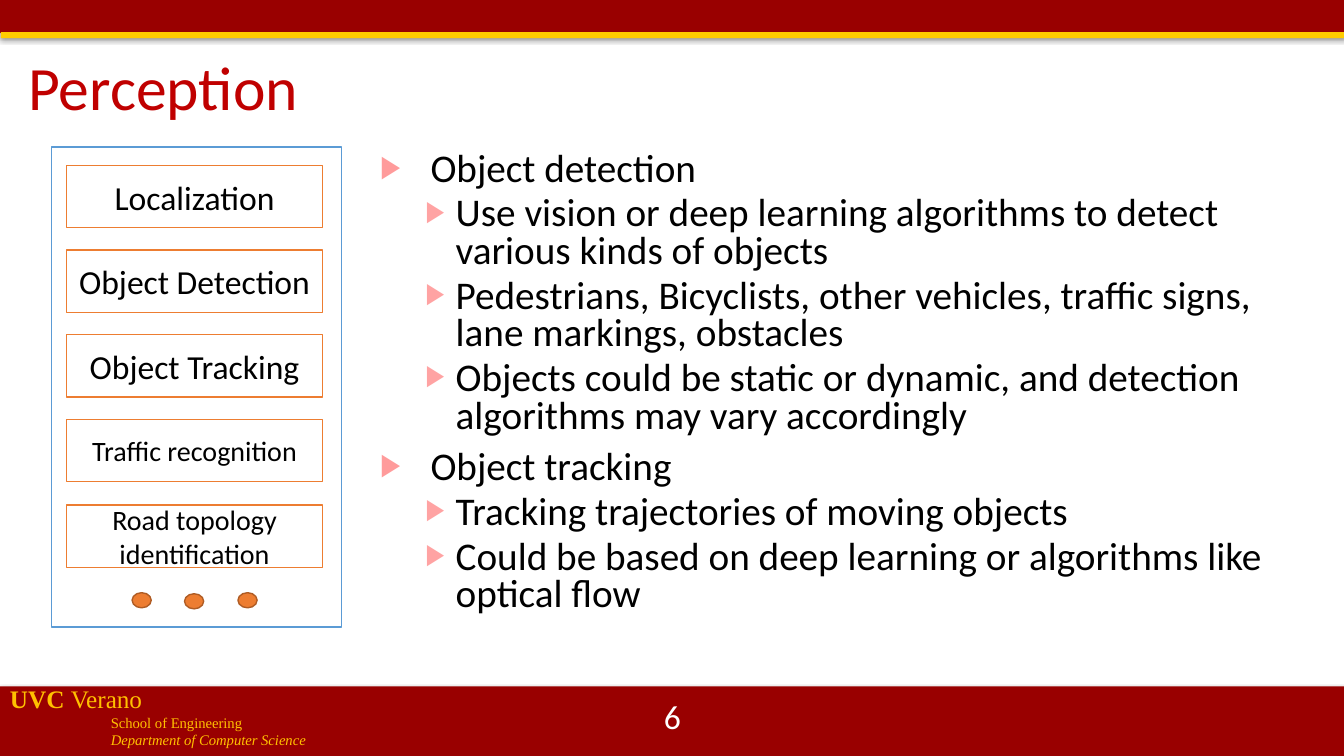
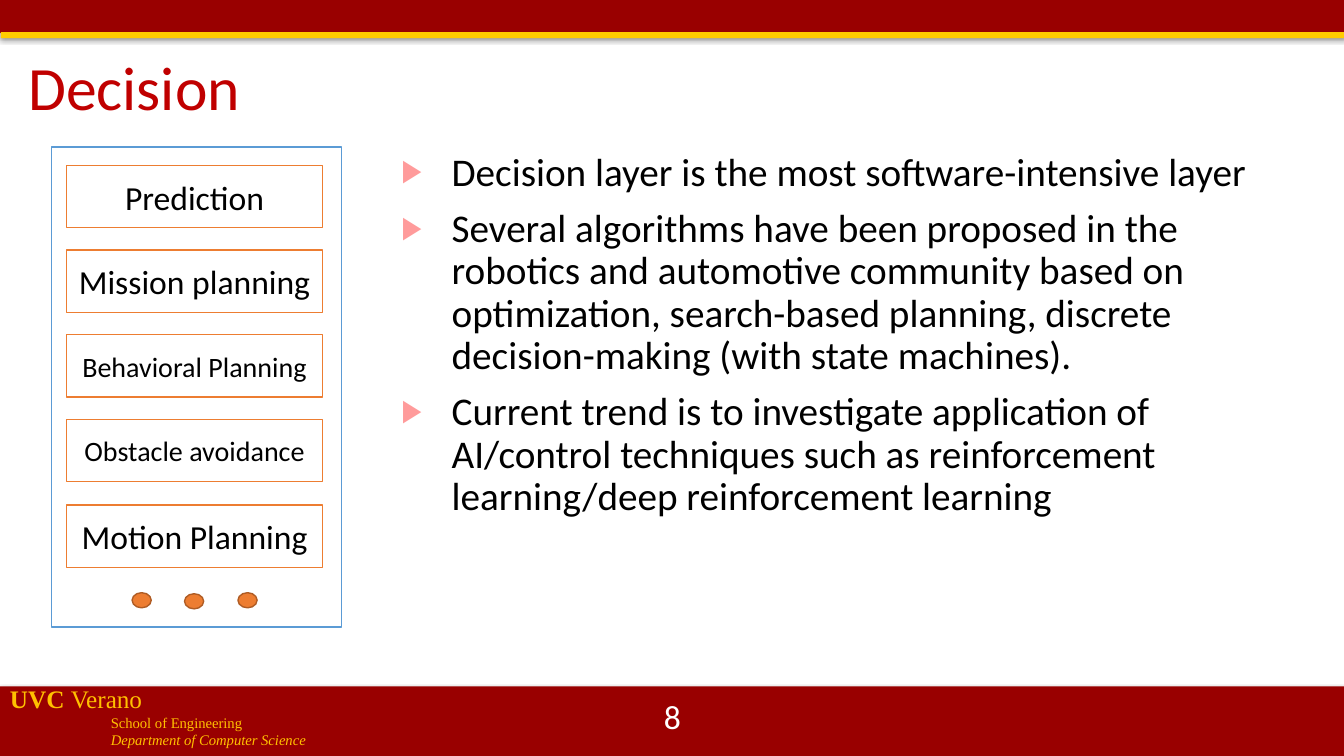
from dataclasses import dataclass

from lxml.etree import SubElement
from pptx import Presentation
from pptx.dml.color import RGBColor
from pptx.enum.shapes import MSO_SHAPE
from pptx.enum.text import MSO_ANCHOR, MSO_AUTO_SIZE, PP_ALIGN
from pptx.oxml.ns import qn
from pptx.util import Emu, Pt

SCALE = 9144  # EMU in one px, 100 px to the inch
WIDE, HIGH = 1333, 750
FONT, SERIF = "Calibri", "Times New Roman"
HUES = {
    "band": "990000", "gold": "FFCC00", "brand": "FFC000", "title": "C00000",
    "ink": "000000", "paper": "FFFFFF", "frame": "5B9BD5",
    "box": "ED7D31", "rim": "AF5C24", "mark": "FF9B9B", "sub": "FFA3A3",
}


@dataclass(frozen=True)
class Area:
    left: int
    top: int
    wide: int
    high: int


@dataclass(frozen=True)
class Look:
    size: float
    hue: str = "ink"
    font: str = FONT
    bold: bool = False
    slant: bool = False


@dataclass(frozen=True)
class Band:
    area: Area
    hue: str
    dist: float
    alpha: int


@dataclass(frozen=True)
class Level:
    left: int
    hang: int
    gap: int
    hue: str
    size: int


@dataclass(frozen=True)
class Box:
    text: str
    size: int = 24


@dataclass(frozen=True)
class Item:
    text: str
    level: int = 0


@dataclass(frozen=True)
class Page:
    title: str
    number: str
    body: Area
    pitch: float
    boxes: tuple[Box, ...]
    items: tuple[Item, ...]


BANDS = (
    Band(Area(0, 0, WIDE, 33), "band", 1.8, 35),
    Band(Area(1, 32, WIDE, 6), "gold", 1.6, 38),
    Band(Area(0, 681, WIDE, 69), "band", 1.8, 35),
)
LEVELS = (Level(50, 50, 10, "mark", 80), Level(75, 30, 5, "sub", 75))

PAGES = (
    Page(
        "Perception", "6", Area(367, 146, 930, 476), 0.8,
        (
            Box("Localization"), Box("Object Detection"), Box("Object Tracking"),
            Box("Traffic recognition", 20), Box("Road topology identification", 20),
        ),
        (
            Item("Object detection"),
            Item("Use vision or deep learning algorithms to detect various kinds of objects", 1),
            Item("Pedestrians, Bicyclists, other vehicles, traffic signs, lane markings, obstacles", 1),
            Item("Objects could be static or dynamic, and detection algorithms may vary accordingly", 1),
            Item("Object tracking"),
            Item("Tracking trajectories of moving objects", 1),
            Item("Could be based on deep learning or algorithms like optical flow", 1),
        ),
    ),
    Page(
        "Decision", "8", Area(388, 146, 910, 442), 0.9,
        (
            Box("Prediction"), Box("Mission planning"), Box("Behavioral Planning", 20),
            Box("Obstacle avoidance", 20), Box("Motion Planning"),
        ),
        (
            Item("Decision layer is the most software-intensive layer"),
            Item("Several algorithms have been proposed in the robotics and automotive community "
                 "based on optimization, search-based planning, discrete decision-making "
                 "(with state machines)."),
            Item("Current trend is to investigate application of AI/control techniques such as "
                 "reinforcement learning/deep reinforcement learning"),
        ),
    ),
)


def px(num: float) -> Emu:
    return Emu(round(num * SCALE))


def spot(area: Area) -> tuple[Emu, Emu, Emu, Emu]:
    return px(area.left), px(area.top), px(area.wide), px(area.high)


def tint(hue: str) -> RGBColor:
    return RGBColor.from_string(HUES[hue])


def write(para, text: str, look: Look) -> None:
    run = para.add_run()
    run.text = text
    font = run.font
    font.name, font.size = look.font, Pt(look.size)
    font.bold, font.italic = look.bold, look.slant
    font.color.rgb = tint(look.hue)


def draw(shapes, kind, area: Area, fill: str | None, line: str | None):
    shape = shapes.add_shape(kind, *spot(area))
    shape.shadow.inherit = False
    if fill:
        shape.fill.solid()
        shape.fill.fore_color.rgb = tint(fill)
    else:
        shape.fill.background()
    if line:
        shape.line.color.rgb = tint(line)
        shape.line.width = Pt(1)
    else:
        shape.line.fill.background()
    return shape


def shade(shape, dist: float, alpha: int) -> None:
    """Cast a soft shadow straight down."""
    effect = shape.element.spPr.find(qn("a:effectLst"))
    outer = SubElement(effect, qn("a:outerShdw"), blurRad=str(Pt(3.1)),
                       dist=str(Pt(dist)), dir="5400000", rotWithShape="0")
    color = SubElement(outer, qn("a:srgbClr"), val=HUES["ink"])
    SubElement(color, qn("a:alpha"), val=str(alpha * 1000))


def label(shapes, area: Area):
    shape = shapes.add_textbox(*spot(area))
    shape.text_frame.word_wrap = True
    return shape


def brand(shapes):
    shape = label(shapes, Area(0, 673, 625, 77))
    frame = shape.text_frame
    head = frame.paragraphs[0]
    write(head, "UVC ", Look(18, "brand", SERIF, bold=True))
    write(head, "Verano", Look(18, "brand", SERIF))
    for text, slant in (("School of Engineering", False),
                        ("Department of Computer Science", True)):
        para = frame.add_paragraph()
        para._p.get_or_add_pPr().set("marL", str(px(100)))
        write(para, text, Look(10.5, "brand", SERIF, slant=slant))
    return shape


def dress(layout, slide) -> None:
    """Put the shared bands and school name on the layout."""
    for hold in list(layout.placeholders):
        if hold.placeholder_format.idx >= 10:
            hold.element.getparent().remove(hold.element)
    parts = []
    for band in BANDS:
        shape = draw(slide.shapes, MSO_SHAPE.RECTANGLE, band.area, band.hue, None)
        shade(shape, band.dist, band.alpha)
        parts.append(shape)
    parts.append(brand(slide.shapes))
    for part in parts:
        layout.shapes.element.append(part.element)


def place(hold, area: Area):
    hold.left, hold.top, hold.width, hold.height = spot(area)
    frame = hold.text_frame
    frame.auto_size = MSO_AUTO_SIZE.NONE
    return frame


def head(slide, text: str) -> None:
    frame = place(slide.shapes.title, Area(18, 47, 1194, 85))
    frame.vertical_anchor = MSO_ANCHOR.MIDDLE
    para = frame.paragraphs[0]
    para.alignment = PP_ALIGN.LEFT
    para.line_spacing = 0.9
    write(para, text, Look(44, "title"))


def mark(para, level: Level) -> None:
    props = para._p.get_or_add_pPr()
    props.set("marL", str(px(level.left)))
    props.set("indent", str(px(-level.hang)))
    color = SubElement(props, qn("a:buClr"))
    SubElement(color, qn("a:srgbClr"), val=HUES[level.hue])
    SubElement(props, qn("a:buSzPct"), val=str(level.size * 1000))
    SubElement(props, qn("a:buFont"), typeface=FONT)
    SubElement(props, qn("a:buChar"), char="▶")


def fill(slide, page: Page) -> None:
    frame = place(slide.placeholders[1], page.body)
    for num, item in enumerate(page.items):
        para = frame.add_paragraph() if num else frame.paragraphs[0]
        level = LEVELS[item.level]
        para.level = item.level
        para.line_spacing = page.pitch
        para.space_before = Pt(level.gap)
        mark(para, level)
        write(para, item.text, Look(28))


def center(shape, text: str, look: Look) -> None:
    frame = shape.text_frame
    frame.word_wrap = True
    frame.vertical_anchor = MSO_ANCHOR.MIDDLE
    para = frame.paragraphs[0]
    para.alignment = PP_ALIGN.CENTER
    write(para, text, look)


def stack(slide, boxes: tuple[Box, ...]) -> None:
    """Draw the framed column of modules, ending in three dots."""
    draw(slide.shapes, MSO_SHAPE.RECTANGLE, Area(51, 146, 288, 476), None, "frame")
    for num, box in enumerate(boxes):
        area = Area(66, 164 + num * 337 // 4, 254, 62)
        shape = draw(slide.shapes, MSO_SHAPE.RECTANGLE, area, "paper", "box")
        center(shape, box.text, Look(box.size))
    dots = slide.shapes.add_group_shape()
    for num in range(3):
        area = Area(131 + num * 105 // 2, 588 + num % 2, 19, 15)
        draw(dots.shapes, MSO_SHAPE.OVAL, area, "box", "rim")


def main() -> None:
    deck = Presentation()
    deck.slide_width, deck.slide_height = px(WIDE), px(HIGH)
    layout = deck.slide_layouts[1]
    for num, page in enumerate(PAGES):
        slide = deck.slides.add_slide(layout)
        if num == 0:
            dress(layout, slide)
        fill(slide, page)
        head(slide, page.title)
        center(label(slide.shapes, Area(517, 690, 300, 40)), page.number, Look(24, "paper"))
        stack(slide, page.boxes)
    deck.save("out.pptx")


if __name__ == "__main__":
    main()
